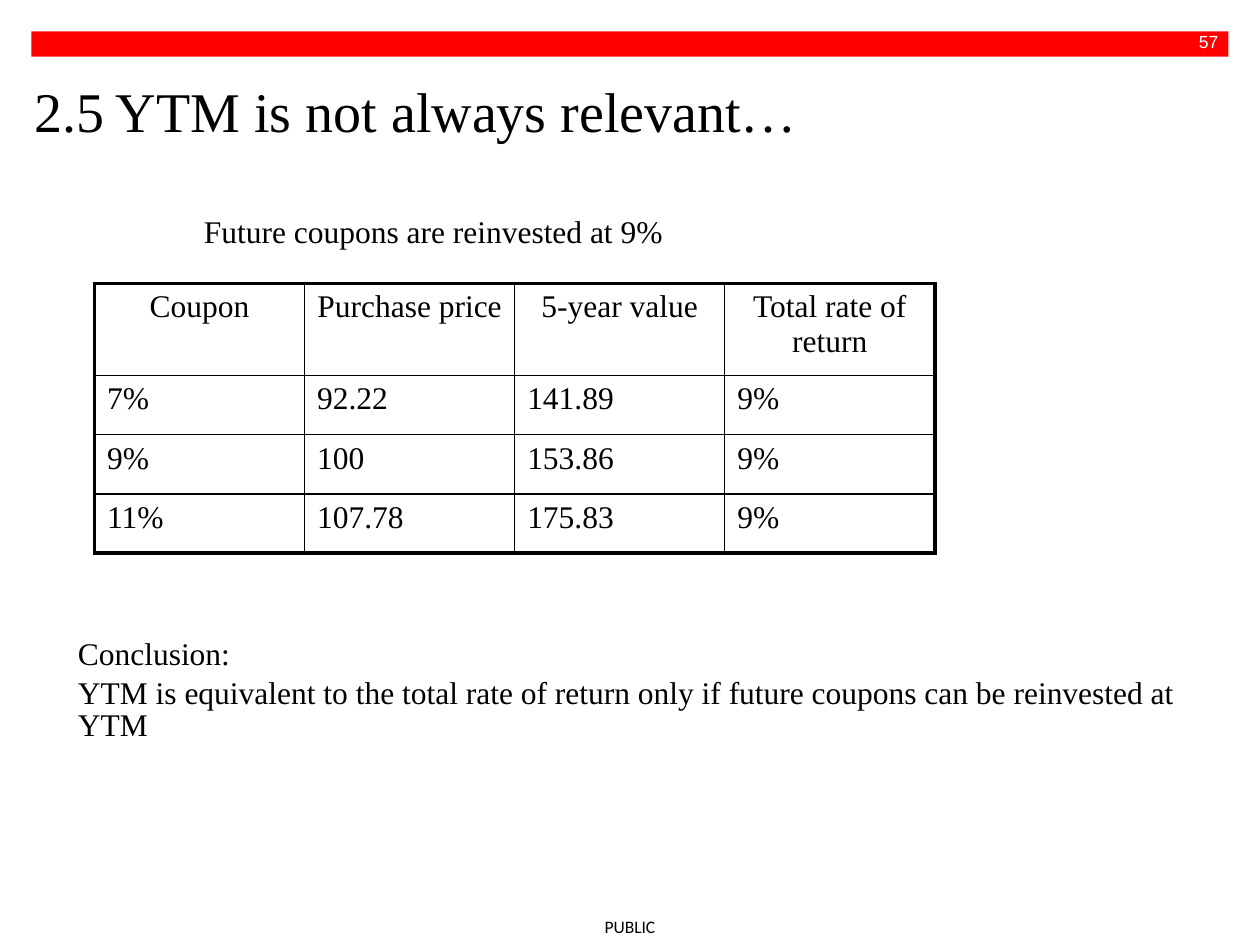
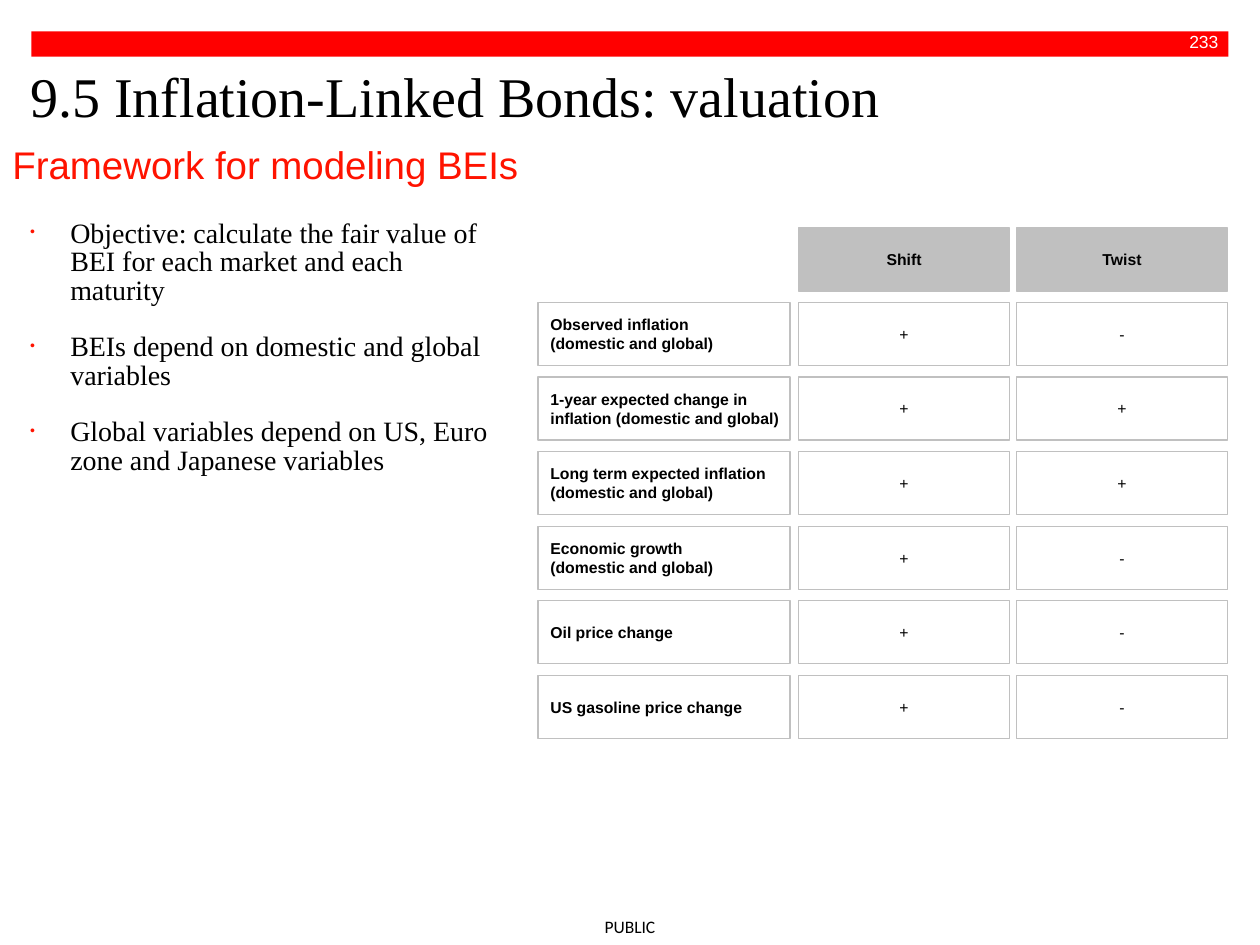
from dataclasses import dataclass

from lxml.etree import SubElement
from pptx import Presentation
from pptx.dml.color import RGBColor
from pptx.enum.shapes import MSO_SHAPE
from pptx.enum.text import MSO_ANCHOR, MSO_AUTO_SIZE, PP_ALIGN
from pptx.oxml import parse_xml
from pptx.oxml.ns import nsdecls, qn
from pptx.util import Inches, Pt

# Shared look
BLACK, WHITE, RED, BRIGHT_RED, GREY = "000000", "FFFFFF", "FF0000", "FF1300", "C0C0C0"
SERIF, SANS, FOOTER_FONT = "Times New Roman", "Arial", "Calibri"


@dataclass(frozen=True)
class Area:
    left: float
    top: float
    width: float
    height: float

    def lengths(self) -> tuple:
        return tuple(Inches(n) for n in (self.left, self.top, self.width, self.height))


@dataclass(frozen=True)
class Style:
    font: str
    size: float
    color: str = BLACK
    bold: bool = False
    align: PP_ALIGN = PP_ALIGN.LEFT


@dataclass(frozen=True)
class FactorRow:
    label: str
    shift: str
    twist: str


TITLE = Style(SERIF, 32)
SUBTITLE = Style(SANS, 22, BRIGHT_RED)
BODY = Style(SERIF, 18)
BULLET = Style(SERIF, 16)
TABLE_HEADER = Style(SERIF, 18, align=PP_ALIGN.CENTER)
PAGE_NUMBER = Style(SANS, 10, WHITE, align=PP_ALIGN.RIGHT)
FOOTER = Style(FOOTER_FONT, 10, align=PP_ALIGN.CENTER)
FACTOR_HEADER = Style(SANS, 9, bold=True, align=PP_ALIGN.CENTER)
FACTOR_LABEL = Style(SANS, 9, bold=True)
FACTOR_SIGN = Style(SANS, 9, align=PP_ALIGN.CENTER)

BAND_AREA = Area(0.25, 0.25, 9.5, 0.2)
FOOTER_AREA = Area(4.65, 7.21, 0.7, 0.29)


def rgb(color: str) -> RGBColor:
    return RGBColor.from_string(color)


def write(frame, text: str, style: Style) -> None:
    frame.text = text
    for para in frame.paragraphs:
        para.alignment = style.align
        for span in para.runs:
            span.font.name = style.font
            span.font.size = Pt(style.size)
            span.font.bold = style.bold
            span.font.color.rgb = rgb(style.color)


def add_text(page, area: Area, text: str, style: Style):
    frame = page.shapes.add_textbox(*area.lengths()).text_frame
    frame.word_wrap = True
    write(frame, text, style)
    return frame


def add_box(page, area: Area, text: str, style: Style, fill: str, line: str | None = None):
    box = page.shapes.add_shape(MSO_SHAPE.RECTANGLE, *area.lengths())
    box.shadow.inherit = False
    box.fill.solid()
    box.fill.fore_color.rgb = rgb(fill)
    if line:
        box.line.color.rgb = rgb(line)
        box.line.width = Pt(0.75)
    else:
        box.line.fill.background()
    write(box.text_frame, text, style)
    return box.text_frame


def set_spacing(frame, gap: float) -> None:
    for index, para in enumerate(frame.paragraphs):
        para.line_spacing = 0.85
        if index:
            para.space_before = Pt(gap)


def add_bullets(frame) -> None:
    for para in frame.paragraphs:
        properties = para._p.get_or_add_pPr()
        properties.set("marL", str(Inches(0.32)))
        properties.set("indent", str(-Inches(0.32)))
        color = SubElement(properties, qn("a:buClr"))
        SubElement(color, qn("a:srgbClr"), val=BRIGHT_RED)
        SubElement(properties, qn("a:buSzPct"), val="50000")
        SubElement(properties, qn("a:buFont"), typeface=SANS)
        SubElement(properties, qn("a:buChar"), char="•")


def set_borders(cell, widths: dict[str, float]) -> None:
    properties = cell._tc.get_or_add_tcPr()
    for index, (side, width) in enumerate(widths.items()):
        properties.insert(index, parse_xml(
            f'<a:ln{side} {nsdecls("a")} w="{Pt(width)}"><a:solidFill>'
            f'<a:srgbClr val="{BLACK}"/></a:solidFill></a:ln{side}>'))


def start_page(deck, title: str, title_area: Area, number: int):
    """Add a page with the red band, page number, footer and title."""
    page = deck.slides.add_slide(deck.slide_layouts[5])
    band = add_box(page, BAND_AREA, str(number), PAGE_NUMBER, RED)
    band.vertical_anchor = MSO_ANCHOR.TOP
    band.margin_left = band.margin_right = Inches(0.08)
    band.margin_top = band.margin_bottom = 0

    footer = add_text(page, FOOTER_AREA, "PUBLIC", FOOTER)
    footer.vertical_anchor = MSO_ANCHOR.MIDDLE
    footer.margin_left = footer.margin_right = 0
    footer.margin_top = footer.margin_bottom = 0

    holder = page.shapes.title
    holder.left, holder.top, holder.width, holder.height = title_area.lengths()
    frame = holder.text_frame
    frame.auto_size = MSO_AUTO_SIZE.NONE
    frame.vertical_anchor = MSO_ANCHOR.TOP
    write(frame, title, TITLE)
    return page


# Yield to maturity page
RETURNS = [
    ("Coupon", "Purchase price", "5-year value", "Total rate of return"),
    ("7%", "92.22", "141.89", "9%"),
    ("9%", "100", "153.86", "9%"),
    ("11%", "107.78", "175.83", "9%"),
]
RETURNS_AREA = Area(0.75, 2.25, 6.67, 2.14)
HEADER_HEIGHT, ROW_HEIGHT = 0.73, 0.47
OUTER_LINE, INNER_LINE = 2.25, 1


def add_returns_table(page) -> None:
    last_row, last_column = len(RETURNS) - 1, len(RETURNS[0]) - 1
    table = page.shapes.add_table(
        last_row + 1, last_column + 1, *RETURNS_AREA.lengths()).table
    table.first_row = table.horz_banding = False
    for column in table.columns:
        column.width = Inches(RETURNS_AREA.width / len(RETURNS[0]))
    for r, values in enumerate(RETURNS):
        table.rows[r].height = Inches(ROW_HEIGHT if r else HEADER_HEIGHT)
        for c, value in enumerate(values):
            cell = table.cell(r, c)
            write(cell.text_frame, value, BODY if r else TABLE_HEADER)
            cell.fill.solid()
            cell.fill.fore_color.rgb = rgb(WHITE)
            on_edge = {"L": c == 0, "R": c == last_column, "T": r == 0, "B": r == last_row}
            set_borders(cell, {side: OUTER_LINE if edge else INNER_LINE
                               for side, edge in on_edge.items()})


def build_yield_page(deck) -> None:
    page = start_page(deck, "2.5 YTM is not always relevant…", Area(0.17, 0.56, 9.83, 0.63), 57)
    add_text(page, Area(1.52, 1.63, 5, 0.4), "Future coupons are reinvested at 9%", BODY)
    add_returns_table(page)
    conclusion = add_text(
        page, Area(0.52, 5.03, 9.24, 1),
        "Conclusion:\nYTM is equivalent to the total rate of return only if future "
        "coupons can be reinvested at YTM", BODY)
    set_spacing(conclusion, 3.6)


# Inflation-linked bonds page
OBJECTIVES = [
    "Objective: calculate the fair value of BEI for each market and each maturity",
    "BEIs depend on domestic and global variables",
    "Global variables depend on US, Euro zone and Japanese variables",
]
FACTORS = [
    FactorRow("Observed inflation\n(domestic and global)", "+", "-"),
    FactorRow("1-year expected change in\ninflation (domestic and global)", "+", "+"),
    FactorRow("Long term expected inflation\n(domestic and global)", "+", "+"),
    FactorRow("Economic growth\n(domestic and global)", "+", "-"),
    FactorRow("Oil price change", "+", "-"),
    FactorRow("US gasoline price change", "+", "-"),
]
LABEL_LEFT, LABEL_WIDTH = 4.27, 2
SIGN_LEFTS, SIGN_WIDTH = (6.34, 8.07), 1.67
GRID_TOP, LAST_ROW_TOP, BOX_HEIGHT = 1.81, 5.36, 0.5
ROW_STEP = (LAST_ROW_TOP - GRID_TOP) / len(FACTORS)


def add_factor_grid(page) -> None:
    for left, heading in zip(SIGN_LEFTS, ("Shift", "Twist")):
        add_box(page, Area(left, GRID_TOP, SIGN_WIDTH, BOX_HEIGHT),
                heading, FACTOR_HEADER, GREY, GREY)
    for index, factor in enumerate(FACTORS, start=1):
        top = GRID_TOP + index * ROW_STEP
        label = add_box(page, Area(LABEL_LEFT, top, LABEL_WIDTH, BOX_HEIGHT),
                        factor.label, FACTOR_LABEL, WHITE, GREY)
        label.margin_right = 0
        for left, sign in zip(SIGN_LEFTS, (factor.shift, factor.twist)):
            add_box(page, Area(left, top, SIGN_WIDTH, BOX_HEIGHT),
                    sign, FACTOR_SIGN, WHITE, GREY)


def build_inflation_page(deck) -> None:
    page = start_page(deck, "9.5 Inflation-Linked Bonds: valuation",
                      Area(0.14, 0.44, 9.56, 0.63), 233)
    add_text(page, Area(0, 1.07, 9.44, 0.47), "Framework for modeling BEIs", SUBTITLE)
    objectives = add_text(page, Area(0.14, 1.7, 3.96, 2.59), "\n".join(OBJECTIVES), BULLET)
    add_bullets(objectives)
    set_spacing(objectives, 16)
    add_factor_grid(page)


def main() -> None:
    deck = Presentation()
    deck.slide_width, deck.slide_height = Inches(10), Inches(7.5)
    build_yield_page(deck)
    build_inflation_page(deck)
    deck.save("out.pptx")


if __name__ == "__main__":
    main()
